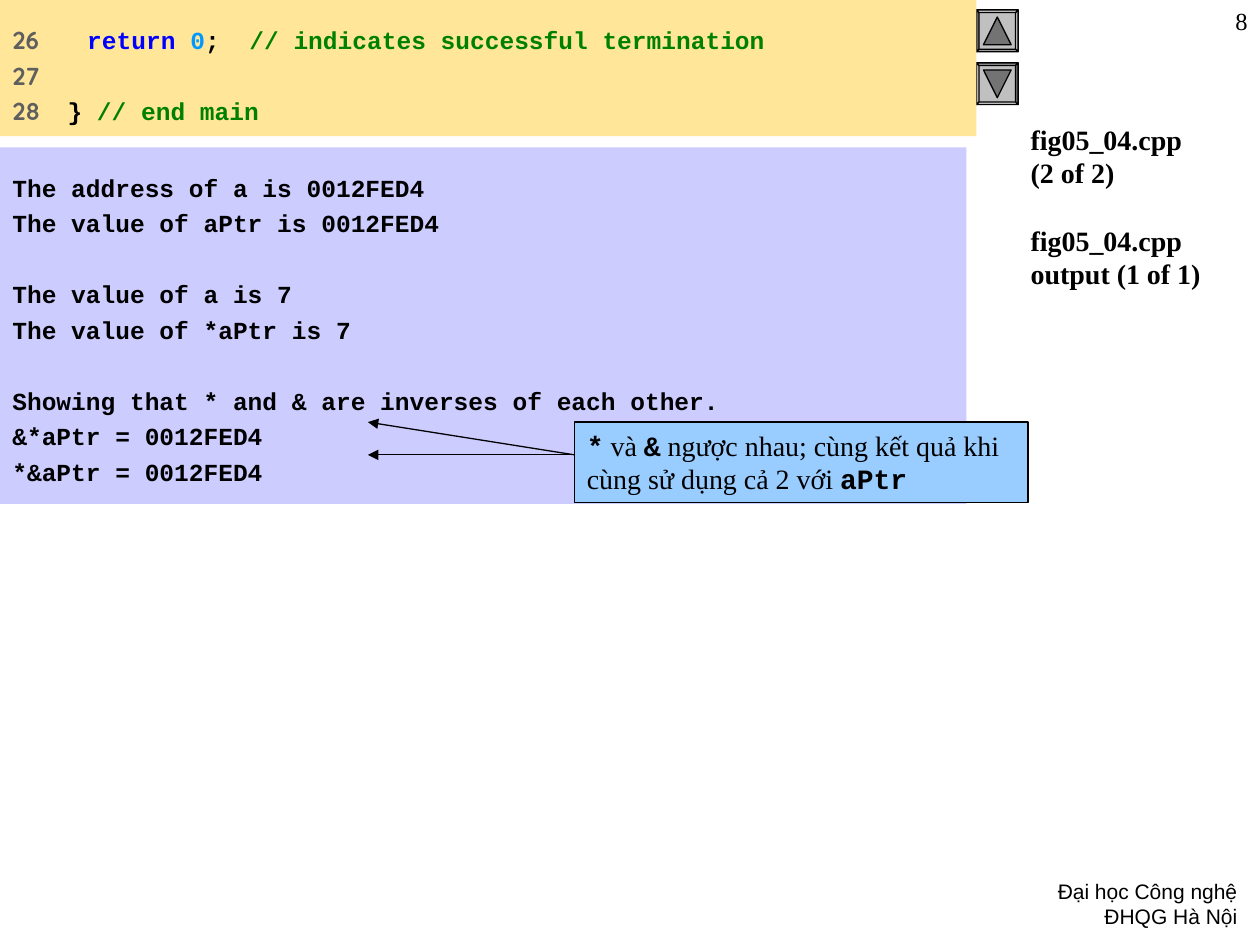
from lxml import etree
from pptx import Presentation
from pptx.dml.color import RGBColor
from pptx.enum.shapes import MSO_CONNECTOR, MSO_SHAPE
from pptx.enum.text import MSO_ANCHOR, PP_ALIGN
from pptx.oxml.ns import qn
from pptx.util import Inches, Pt

COLORS = {
    "black": "000000", "line_number": "5F5F5F", "keyword": "0000FF",
    "number": "0099FF", "comment": "008000", "code_panel": "FFE699",
    "output_panel": "CCCCFF", "callout": "99CCFF", "button": "C0C0C0",
    "light": "D9D9D9", "pale": "CDCDCD", "dim": "9A9A9A", "dark": "737373",
}
SERIF, MONO, SANS, NUMBERS = "Times New Roman", "Courier New", "Arial", "Quicksand"


def rgb(color):
    return RGBColor.from_string(COLORS[color])


def set_font(font, name, size, color="black", bold=False):
    font.name, font.size, font.bold = name, Pt(size), bold
    font.color.rgb = rgb(color)


class CodeSlide:
    def __init__(self, prs):
        self.slide = prs.slides.add_slide(prs.slide_layouts[5])
        self.shapes = self.slide.shapes

    def frame(self, shape, margin=0.05):
        frame = shape.text_frame
        frame.word_wrap = True
        frame.vertical_anchor = MSO_ANCHOR.TOP
        frame.margin_left = frame.margin_right = Inches(0.1)
        frame.margin_top = frame.margin_bottom = Inches(margin)
        return frame

    def paragraphs(self, frame, count, gap=3.5):
        for index in range(count):
            paragraph = frame.add_paragraph() if index else frame.paragraphs[0]
            paragraph.alignment = PP_ALIGN.LEFT
            paragraph.space_before = Pt(gap if index else 0)
            yield paragraph

    def paint(self, shape, fill, outlined=False):
        shape.shadow.inherit = False
        shape.fill.solid()
        shape.fill.fore_color.rgb = rgb(fill)
        if outlined:
            shape.line.color.rgb = rgb("black")
            shape.line.width = Pt(0.75)
        else:
            shape.line.fill.background()

    def panel(self, box, fill, margin=0.2, outlined=False):
        shape = self.shapes.add_shape(MSO_SHAPE.RECTANGLE, *map(Inches, box))
        self.paint(shape, fill, outlined)
        return self.frame(shape, margin)

    def runs(self, paragraph, parts, size):
        """Add (text, font, color, bold) parts to the paragraph."""
        for text, *style in parts:
            run = paragraph.add_run()
            run.text = text
            name, color, bold = style
            set_font(run.font, name, size, color, bold)

    def label(self, text, box, name, size):
        frame = self.frame(self.shapes.add_textbox(*map(Inches, box)))
        paragraph = frame.paragraphs[0]
        paragraph.text = text
        paragraph.alignment = PP_ALIGN.RIGHT
        set_font(paragraph.font, name, size)

    def title(self, blocks, box):
        title = self.shapes.title
        title.left, title.top, title.width, title.height = map(Inches, box)
        frame = self.frame(title)
        for paragraph, text in zip(self.paragraphs(frame, len(blocks), 19.3), blocks):
            paragraph.text = text
            set_font(paragraph.font, SERIF, 16, bold=True)

    def polygon(self, points, fill):
        start, *rest = [(Inches(x), Inches(y)) for x, y in points]
        builder = self.shapes.build_freeform(*start)
        builder.add_line_segments(rest, close=True)
        self.paint(builder.convert_to_shape(), fill, outlined=True)

    def button(self, left, top, upward, side=0.33, bevel=0.02):
        """Draw a bevelled square with a triangle pointing up or down."""
        def square(inset):
            low, high = inset, side - inset
            corners = [(low, low), (high, low), (high, high), (low, high)]
            return [(left + x, top + y) for x, y in corners]

        outer, inner = square(0), square(bevel)
        self.polygon(outer, "button")
        first = 1 if upward else 3
        for step, shade in enumerate(("pale", "dim", "dark", "light")):
            a, b = (first + step) % 4, (first + step + 1) % 4
            self.polygon([outer[a], outer[b], inner[b], inner[a]], shade)
        x, y = left + side / 2, top + side / 2
        reach = 0.11 if upward else -0.11
        self.polygon([(x, y - reach), (x + reach, y + reach), (x - reach, y + reach)], "dark")

    def arrow(self, start, end):
        ends = map(Inches, (*start, *end))
        arrow = self.shapes.add_connector(MSO_CONNECTOR.STRAIGHT, *ends)
        arrow.line.color.rgb = rgb("black")
        arrow.line.width = Pt(0.75)
        etree.SubElement(arrow.line._get_or_add_ln(), qn("a:tailEnd"), type="triangle")
        etree.SubElement(arrow._element.spPr, qn("a:effectLst"))


def main():
    prs = Presentation()
    prs.slide_width, prs.slide_height = Inches(10), Inches(7.5)
    page = CodeSlide(prs)

    page.label("Đại học Công nghệ\vĐHQG Hà Nội", (7.75, 6.92, 2.17, 0.5), SANS, 12)
    page.button(7.75, 0.08, upward=True)
    page.button(7.75, 0.5, upward=False)
    page.label("8", (9.5, 0, 0.5, 0.5), SERIF, 14)
    page.title(["fig05_04.cpp\v(2 of 2)", "fig05_04.cpp\voutput (1 of 1)"],
               (8.08, 0.92, 1.92, 5.25))

    code_lines = [
        [("26       ", NUMBERS, "line_number", True),
         ("return ", MONO, "keyword", True),
         ("0", MONO, "number", True),
         (";  ", MONO, "black", True),
         ("// indicates successful termination", MONO, "comment", True)],
        [("27", NUMBERS, "line_number", True)],
        [("28    ", NUMBERS, "line_number", True),
         ("} ", MONO, "black", True),
         ("// end main", MONO, "comment", True)],
    ]
    code = page.panel((0, 0, 7.75, 1.08), "code_panel")
    for paragraph, parts in zip(page.paragraphs(code, len(code_lines)), code_lines):
        page.runs(paragraph, parts, 14)

    output_blocks = [
        ["The address of a is 0012FED4", "The value of aPtr is 0012FED4"],
        ["The value of a is 7", "The value of *aPtr is 7"],
        ["Showing that * and & are inverses of each other.",
         "&*aPtr = 0012FED4", "*&aPtr = 0012FED4"],
    ]
    output_lines = [(line, index > 0 and line == block[0])
                    for index, block in enumerate(output_blocks) for line in block]
    output = page.panel((0, 1.17, 7.67, 2.83), "output_panel")
    for paragraph, (line, opens_block) in zip(
            page.paragraphs(output, len(output_lines)), output_lines):
        paragraph.text = line
        set_font(paragraph.font, MONO, 14, bold=True)
        if opens_block:
            paragraph.space_before = Pt(23.8)

    callout = page.panel((4.56, 3.35, 3.6, 0.64), "callout", 0.05, outlined=True)
    remark = next(page.paragraphs(callout, 1))
    page.runs(remark, [
        ("*", MONO, "black", True),
        (" và ", SERIF, "black", False),
        ("&", MONO, "black", True),
        (" ngược nhau; cùng kết quả khi cùng sử dụng cả 2 với ", SERIF, "black", False),
        ("aPtr", MONO, "black", True),
    ], 16)
    for target in (3.35, 3.61):
        page.arrow((4.56, 3.61), (2.92, target))

    prs.save("out.pptx")


if __name__ == "__main__":
    main()
